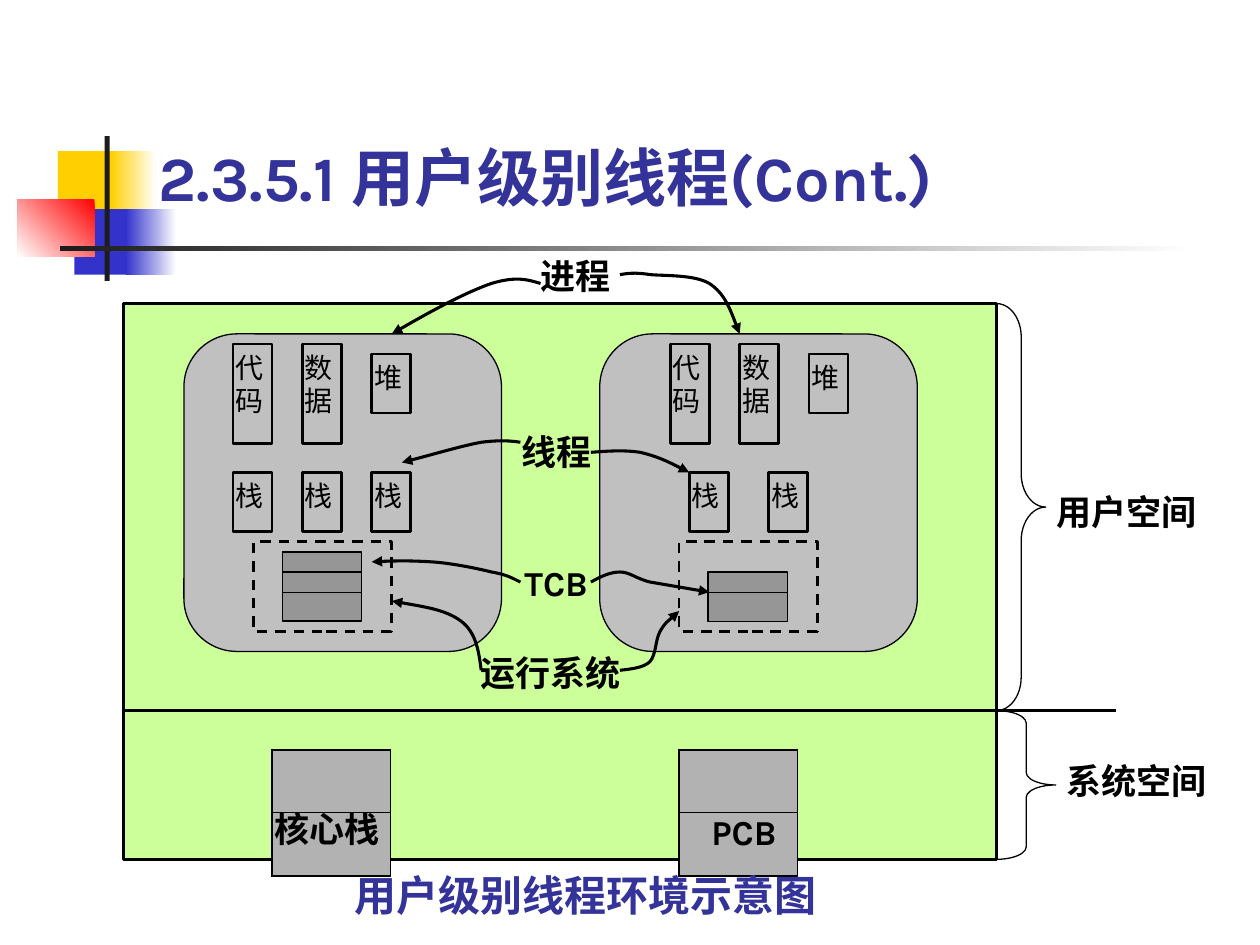
from pptx import Presentation
from pptx.dml.color import RGBColor
from pptx.enum.dml import MSO_LINE
from pptx.enum.shapes import MSO_CONNECTOR, MSO_SHAPE
from pptx.enum.text import MSO_ANCHOR, PP_ALIGN
from pptx.oxml.ns import qn
from pptx.util import Inches, Pt
from lxml.etree import SubElement

FONT = "Karla"
BLACK = RGBColor(0, 0, 0)
WHITE = RGBColor(0xFF, 0xFF, 0xFF)
CHARCOAL = RGBColor(0x1C, 0x1C, 0x1C)
YELLOW = RGBColor(0xFF, 0xCF, 0x01)
BLUE = RGBColor(0x33, 0x33, 0xCC)
RED = RGBColor(0xFF, 0, 0)
NAVY = RGBColor(0x33, 0x33, 0x99)
GREEN = RGBColor(0xCC, 0xFF, 0x99)
PROCESS_GRAY = RGBColor(0xC0, 0xC0, 0xC0)
TABLE_GRAY = RGBColor(0xB2, 0xB2, 0xB2)
TCB_GRAY = RGBColor(0x96, 0x96, 0x96)

# Left, top, width, height, colours from start to end, angle
ORNAMENTS = [
    (0.46, 1.2, 0.48, 0.52, [YELLOW], 0),
    (0.88, 1.2, 0.36, 0.52, [WHITE, YELLOW], 180),
    (0.59, 1.66, 0.46, 0.52, [BLUE], 0),
    (1, 1.66, 0.4, 0.52, [WHITE, BLUE], 180),
    (0.14, 1.58, 0.61, 0.46, [RED, WHITE], 225),
    (0.83, 1.08, 0.04, 1.15, [CHARCOAL], 0),
    (0.48, 1.95, 9, 0.04, [WHITE, CHARCOAL], 180),
]

# Process left, first segment left, stack lefts, runtime left, TCB count
PROCESSES = [
    (1.46, 1.85, [1.85, 2.4, 2.95], 2.01, 3),
    (4.76, 5.32, [5.47, 6.1], 5.39, 2),
]

# Text, left, top, width
LABELS = [
    ("核心栈", 2.16, 6.41, 0.87),
    ("PCB", 5.47, 6.43, 0.87),
    ("TCB", 3.98, 4.46, 0.87),
    ("进程", 4.13, 2.02, 0.87),
    ("线程", 3.98, 3.42, 0.87),
    ("运行系统", 3.74, 5.17, 1.26),
    ("用户空间", 8.31, 3.89, 1.26),
    ("系统空间", 8.39, 6.03, 1.26),
]

# Start point, then two control points and an end point for each Bezier piece
ARROWS = [
    [(4.69, 4.62), (4.76, 4.58), (4.84, 4.54), (4.92, 4.54), (5, 4.54),
     (5.04, 4.59), (5.16, 4.62), (5.28, 4.64), (5.45, 4.67), (5.63, 4.7)],
    [(4.13, 4.62), (4.07, 4.59), (4.02, 4.56), (3.9, 4.54), (3.78, 4.51),
     (3.58, 4.47), (3.43, 4.46), (3.27, 4.45), (3.11, 4.45), (2.95, 4.46)],
    [(4.29, 2.25), (4.19, 2.22), (4.1, 2.19), (3.9, 2.25),
     (3.7, 2.32), (3.4, 2.48), (3.11, 2.65)],
    [(4.92, 2.18), (4.98, 2.17), (5.04, 2.16), (5.16, 2.18), (5.28, 2.19),
     (5.51, 2.18), (5.63, 2.25), (5.75, 2.33), (5.81, 2.49), (5.87, 2.65)],
    [(4.13, 3.51), (4.06, 3.5), (3.98, 3.49), (3.82, 3.51),
     (3.66, 3.54), (3.43, 3.61), (3.19, 3.67)],
    [(4.69, 3.59), (4.82, 3.58), (4.95, 3.57), (5.08, 3.59),
     (5.21, 3.62), (5.34, 3.68), (5.47, 3.75)],
    [(4.92, 5.32), (5.01, 5.31), (5.11, 5.3), (5.16, 5.25), (5.21, 5.19),
     (5.2, 5.08), (5.24, 5.01), (5.28, 4.94), (5.34, 4.9), (5.39, 4.85)],
    [(3.82, 5.32), (3.8, 5.17), (3.78, 5.02), (3.66, 4.93),
     (3.54, 4.84), (3.33, 4.81), (3.11, 4.77)],
]


def style_line(shape, width):
    shape.line.color.rgb = BLACK
    shape.line.width = Pt(width)


def add_box(slide, left, top, width, height, fill=None, line=0, kind=MSO_SHAPE.RECTANGLE):
    box = slide.shapes.add_shape(kind, Inches(left), Inches(top), Inches(width), Inches(height))
    box.shadow.inherit = False
    if fill is None:
        box.fill.background()
    else:
        box.fill.solid()
        box.fill.fore_color.rgb = fill
    if line:
        style_line(box, line)
    else:
        box.line.fill.background()
    return box


def write(box, text, size, color=BLACK, bold=False, align=PP_ALIGN.CENTER,
          anchor=MSO_ANCHOR.TOP, margins=(0, 0, 0, 0)):
    frame = box.text_frame
    frame.word_wrap = True
    frame.vertical_anchor = anchor
    (frame.margin_left, frame.margin_top,
     frame.margin_right, frame.margin_bottom) = map(Inches, margins)
    frame.text = text
    para = frame.paragraphs[0]
    para.alignment = align
    font = para.runs[0].font
    font.name, font.size, font.bold = FONT, Pt(size), bold
    font.color.rgb = color


def add_label(slide, text, left, top, width, height=0.33, size=20, color=BLACK, **options):
    box = slide.shapes.add_textbox(Inches(left), Inches(top), Inches(width), Inches(height))
    write(box, text, size, color, bold=True, **options)


def add_segment(slide, text, left, top, height=0.47):
    box = add_box(slide, left, top, 0.31, height, line=1.5)
    write(box, text, 16, margins=(0.02, 0.05, 0.1, 0.05))


def add_rule(slide, left, right, top, width):
    rule = slide.shapes.add_connector(
        MSO_CONNECTOR.STRAIGHT, Inches(left), Inches(top), Inches(right), Inches(top))
    style_line(rule, width)
    SubElement(rule._element.spPr, qn("a:effectLst"))


def bend(shape):
    """Turn every three straight segments into one Bezier piece."""
    segments = list(shape._element.iter(qn("a:lnTo")))
    outline = segments[0].getparent()
    for first in range(0, len(segments), 3):
        piece = SubElement(outline, qn("a:cubicBezTo"))
        for segment in segments[first:first + 3]:
            piece.append(segment[0])
            outline.remove(segment)


def add_curved_arrow(slide, points):
    start, *others = [tuple(map(Inches, point)) for point in points]
    builder = slide.shapes.build_freeform(*start)
    builder.add_line_segments(others, close=False)
    arrow = builder.convert_to_shape()
    bend(arrow)
    arrow.shadow.inherit = False
    arrow.fill.background()
    style_line(arrow, 1.75)
    SubElement(arrow.line._get_or_add_ln(), qn("a:tailEnd"), type="triangle")


def add_ornament(slide, left, top, width, height, colors, angle):
    box = add_box(slide, left, top, width, height, fill=colors[0])
    if len(colors) > 1:
        box.fill.gradient()
        box.fill.gradient_angle = angle
        for stop, color in zip(box.fill.gradient_stops, colors):
            stop.color.rgb = color


def add_kernel_table(slide, left):
    frame = slide.shapes.add_table(2, 1, Inches(left), Inches(5.95), Inches(0.94), Inches(1))
    for row, cell in enumerate(frame.table.iter_cells()):
        properties = cell._tc.get_or_add_tcPr()
        widths = {"lnL": 1.08, "lnR": 1.08,
                  "lnT": 0.45 if row else 1.08, "lnB": 1.08 if row else 0.45}
        for side, width in widths.items():
            border = SubElement(properties, qn(f"a:{side}"), w=str(Pt(width)))
            paint = SubElement(border, qn("a:solidFill"))
            SubElement(paint, qn("a:srgbClr"), val=str(BLACK))
        cell.fill.solid()
        cell.fill.fore_color.rgb = TABLE_GRAY


def add_process(slide, left, first, stacks, runtime, tcb_count):
    add_box(slide, left, 2.65, 2.52, 2.52, PROCESS_GRAY, 0.75, MSO_SHAPE.ROUNDED_RECTANGLE)
    # Runtime system with its thread control blocks
    add_box(slide, runtime, 4.3, 1.1, 0.71, line=1.5).line.dash_style = MSO_LINE.DASH
    tcb_left, tcb_top = runtime + 0.23, 4.86 - 0.16 * tcb_count
    add_box(slide, tcb_left, tcb_top, 0.63, 4.93 - tcb_top, TCB_GRAY, 0.75)
    for row in range(1, tcb_count):
        add_rule(slide, tcb_left, tcb_left + 0.63, tcb_top + 0.16 * row, 0.75)
    # Memory segments
    add_segment(slide, "代码", first, 2.73, 0.79)
    add_segment(slide, "数据", first + 0.55, 2.73, 0.79)
    add_segment(slide, "堆", first + 1.1, 2.81)
    for stack in stacks:
        add_segment(slide, "栈", stack, 3.75)


def add_brace(slide, top, width, height, curl):
    brace = add_box(slide, 7.91, top, width, height, line=0.75, kind=MSO_SHAPE.RIGHT_BRACE)
    brace.adjustments[0] = curl


def main():
    deck = Presentation()
    deck.slide_width, deck.slide_height = Inches(10), Inches(7.5)
    slide = deck.slides.add_slide(deck.slide_layouts[6])

    # Title and its ornament
    for ornament in ORNAMENTS:
        add_ornament(slide, *ornament)
    add_label(slide, "2.3.5.1 用户级别线程(Cont.)", 1.26, 0.97, 7.6, 0.73, 36, NAVY,
              align=PP_ALIGN.LEFT, anchor=MSO_ANCHOR.BOTTOM)

    # User space above, system space below
    add_box(slide, 0.98, 2.41, 6.93, 4.41, GREEN, 1.5)
    add_rule(slide, 0.98, 8.86, 5.64, 1.5)
    for left in (2.16, 5.39):
        add_kernel_table(slide, left)
    for process in PROCESSES:
        add_process(slide, *process)
    add_brace(slide, 2.41, 0.39, 3.23, 0.68)
    add_brace(slide, 5.64, 0.47, 1.18, 0.21)

    # Labels, arrows and caption
    for label in LABELS:
        add_label(slide, *label)
    for arrow in ARROWS:
        add_curved_arrow(slide, arrow)
    add_label(slide, "用户级别线程环境示意图", 2.72, 6.9, 3.86, 0.4, 24, NAVY)

    deck.save("out.pptx")


if __name__ == "__main__":
    main()
